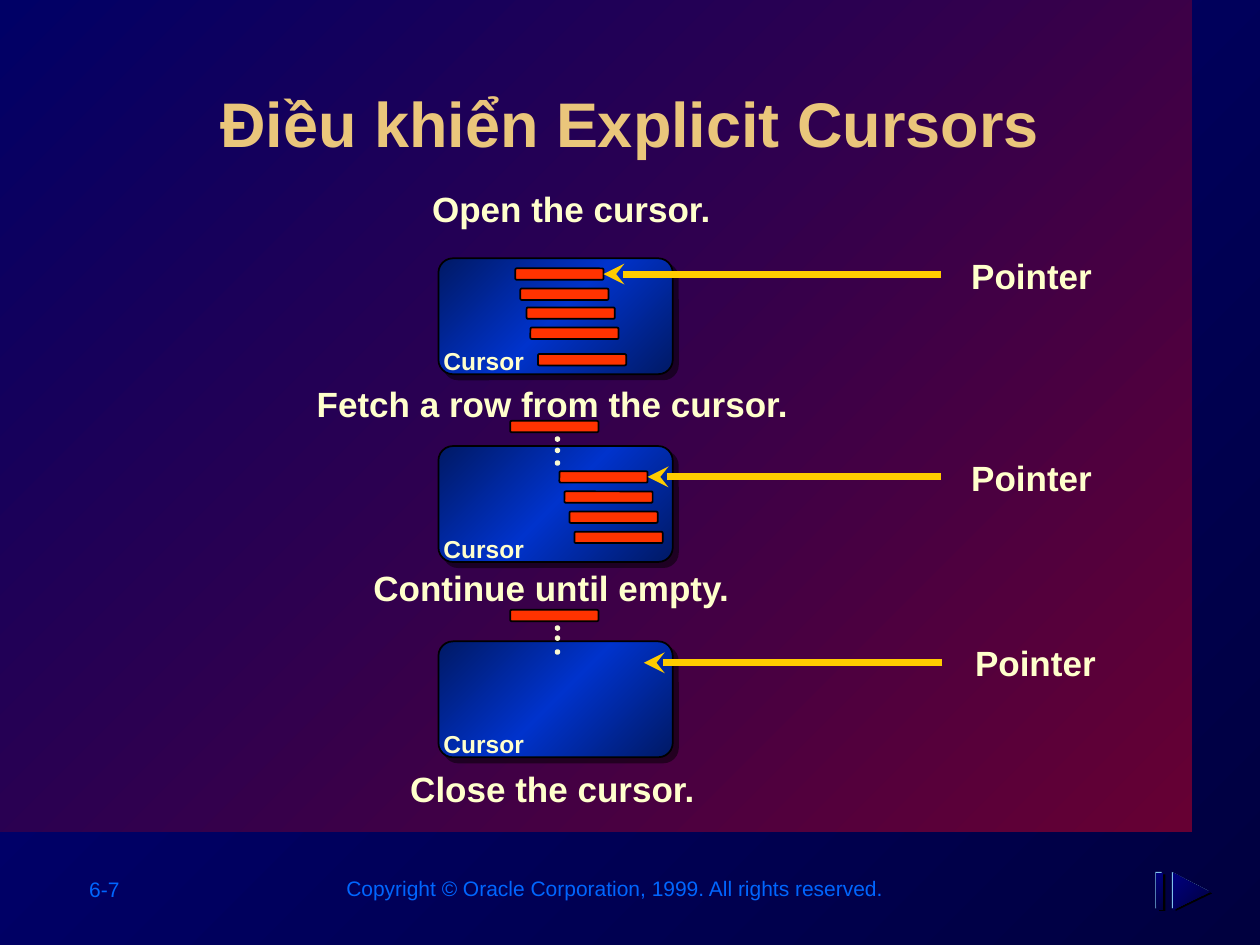
from copy import deepcopy
from typing import NamedTuple, Optional

from lxml import etree
from pptx import Presentation
from pptx import util as u
from pptx.dml.color import RGBColor
from pptx.enum import shapes, text
from pptx.oxml import ns

COLORS = {
    "night": "00003F", "navy": "000080", "wine": "660033", "ink": "000066",
    "deep": "001965", "blue": "0033CC", "red": "FF3300", "gold": "FFCC00",
    "cream": "FFFFCC", "pale": "F8F8D3", "sand": "EAC67B", "link": "0066FF",
    "sky": "7FC1EB", "black": "000000",
}
BACK = ("night", "navy")
KIND = shapes.MSO_SHAPE
BAR_W, BAR_H, DOT = 0.7, 0.09, 0.03


class Label(NamedTuple):
    words: str
    x: float
    y: float
    w: float


class Stage(NamedTuple):
    top: float
    bars: list[tuple[float, float]]
    tip: tuple[float, float]      # arrow end, used when there is no bar
    tail: float
    label: Label
    out: Optional[float] = None   # top of the fetched row
    dots: tuple[float, ...] = ()


STAGES = [
    Stage(2.05, [(4.09, 2.13), (4.13, 2.29), (4.18, 2.44), (4.21, 2.6), (4.27, 2.81)],
          (4.78, 2.18), 7.47, Label("Pointer", 7.61, 1.97, 1.4)),
    Stage(3.54, [(4.44 + 0.04 * i, 3.74 + 0.16 * i) for i in range(4)],
          (5.15, 3.79), 7.47, Label("Pointer", 7.61, 3.57, 1.4), 3.34, (3.47, 3.56, 3.66)),
    Stage(5.09, [], (5.11, 5.26), 7.48, Label("Pointer", 7.64, 5.04, 1.4),
          4.84, (4.97, 5.05, 5.16)),
]
STEPS = [
    Label("Open the cursor.", 2.96, 1.44, 3.15),
    Label("Fetch a row from the cursor.", 2.11, 2.99, 4.55),
    Label("Continue until empty.", 2.58, 4.45, 3.59),
    Label("Close the cursor.", 2.81, 6.04, 3.15),
]
FOOT = [
    Label("6-7", 0.61, 6.91, 1.11),
    Label("Copyright © Oracle Corporation, 1999. All rights reserved.", 2.65, 6.9, 4.5),
]


def rgb(name: str) -> RGBColor:
    return RGBColor.from_string(COLORS[name])


def blend(fill, names: tuple[str, ...]) -> None:
    """Diagonal gradient from lower right to upper left, evenly spaced stops."""
    fill.gradient()
    fill.gradient_angle = 135
    if len(names) == 3:
        first = fill.gradient_stops[0]._gs
        first.addnext(deepcopy(first))
    for i, (stop, name) in enumerate(zip(fill.gradient_stops, names)):
        stop.position = i / (len(names) - 1)
        stop.color.rgb = rgb(name)


def paint(shape, fill, line: Optional[str] = None) -> None:
    shape.shadow.inherit = False
    if isinstance(fill, tuple):
        blend(shape.fill, fill)
    else:
        shape.fill.solid()
        shape.fill.fore_color.rgb = rgb(fill)
    if line:
        shape.line.color.rgb = rgb(line)
        shape.line.width = u.Pt(1)
    else:
        shape.line.fill.background()


def block(slide, kind, x: float, y: float, w: float, h: float, fill, line=None):
    shape = slide.shapes.add_shape(kind, *map(u.Inches, (x, y, w, h)))
    if kind == KIND.ROUNDED_RECTANGLE:
        shape.adjustments[0] = 0.125
    paint(shape, fill, line)
    return shape


def bar(slide, x: float, y: float):
    return block(slide, KIND.ROUNDED_RECTANGLE, x, y, BAR_W, BAR_H, "red", "black")


def shade(effects, blur: float, dist: float) -> None:
    node = etree.SubElement(effects, ns.qn("a:outerShdw"), blurRad=str(u.Pt(blur)),
                            dist=str(u.Pt(dist)), dir="2700000", algn="ctr", rotWithShape="0")
    tint = etree.SubElement(node, ns.qn("a:srgbClr"), val=COLORS["black"])
    etree.SubElement(tint, ns.qn("a:alpha"), val="50000")


def style(frame, words: str, size: float, color: str, bold=True, mid=False,
          pad=(0.1, 0.05)) -> None:
    side, edge = map(u.Inches, pad)
    form = {"word_wrap": True, "auto_size": text.MSO_AUTO_SIZE.NONE,
            "vertical_anchor": text.MSO_ANCHOR.TOP, "margin_left": side,
            "margin_right": side, "margin_top": edge, "margin_bottom": edge}
    for key, value in form.items():
        setattr(frame, key, value)
    para = frame.paragraphs[0]
    para.alignment = text.PP_ALIGN.CENTER if mid else text.PP_ALIGN.LEFT
    run = para.add_run()
    run.text = words
    for key, value in {"name": "Arial", "size": u.Pt(size), "bold": bold}.items():
        setattr(run.font, key, value)
    run.font.color.rgb = rgb(color)


def write(slide, label: Label, h: float, size: float, color="cream", **form) -> None:
    box = slide.shapes.add_textbox(*map(u.Inches, (label.x, label.y, label.w, h)))
    style(box.text_frame, label.words, size, color, **form)


def arrow(slide, stage: Stage, goal) -> None:
    x, y = map(u.Inches, stage.tip)
    if goal is not None:
        y = goal.top + goal.height // 2
    link = slide.shapes.add_connector(shapes.MSO_CONNECTOR.STRAIGHT,
                                      u.Inches(stage.tail), y, x, y)
    if goal is not None:
        link.end_connect(goal, 3)
    link.line.color.rgb = rgb("gold")
    link.line.width = u.Pt(4)
    etree.SubElement(link.line._get_or_add_ln(), ns.qn("a:tailEnd"), type="stealth")
    etree.SubElement(link._element.spPr, ns.qn("a:effectLst"))


def draw(slide, stage: Stage) -> None:
    card = block(slide, KIND.ROUNDED_RECTANGLE, 3.48, stage.top, 1.86, 0.92,
                 ("deep", "blue", "deep"), "black")
    shade(card._element.spPr.find(ns.qn("a:effectLst")), 0, 4.2)
    write(slide, Label("Cursor", 3.46, stage.top + 0.67, 0.84), 0.3, 14, pad=(0.06, 0.03))
    rows = [bar(slide, x, y) for x, y in stage.bars]
    for y in stage.dots:
        block(slide, KIND.OVAL, 4.41, y, DOT, DOT, "cream", "pale")
    if stage.out is not None:
        bar(slide, 4.05, stage.out)
    write(slide, stage.label, 0.43, 20)
    arrow(slide, stage, rows[0] if rows else None)


def icon(slide) -> None:
    layers = [(0.03, 0.02, "black"), (0, 0, "sky"), (0.01, 0.01, BACK)]
    for dx, dy, fill in layers:
        block(slide, KIND.RECTANGLE, 9.17 + dx, 6.92 + dy, 0.05, 0.29, fill)
    for dx, dy, fill in layers:
        x, y = 9.3 + dx, 6.92 + dy
        path = slide.shapes.build_freeform(u.Inches(x), u.Inches(y))
        path.add_line_segments([(u.Inches(x + 0.29), u.Inches(y + 0.15)),
                                (u.Inches(x), u.Inches(y + 0.29))], close=True)
        paint(path.convert_to_shape(), fill)


def main() -> None:
    deck = Presentation()
    deck.slide_width, deck.slide_height = u.Inches(10), u.Inches(7.5)
    slide = deck.slides.add_slide(deck.slide_layouts[5])

    # Background and panel, the panel behind the title
    blend(slide.background.fill, BACK)
    panel = block(slide, KIND.RECTANGLE, 0, 0, 9.46, 6.6, ("wine", "ink"))
    slide.shapes._spTree.insert(2, panel._element)

    # Title with a text shadow
    title = slide.shapes.title
    spot = {"left": 1.01, "top": 0.56, "width": 7.98, "height": 0.96}
    for key, value in spot.items():
        setattr(title, key, u.Inches(value))
    style(title.text_frame, "Điều khiển Explicit Cursors", 36, "sand", mid=True, pad=(0.1, 0.11))
    props = title.text_frame.paragraphs[0].runs[0].font._element
    effects = etree.Element(ns.qn("a:effectLst"))
    props.find(ns.qn("a:solidFill")).addnext(effects)
    shade(effects, 0, 4.2)

    # Cursor stages and the steps between them
    for stage in STAGES:
        draw(slide, stage)
    for step in STEPS:
        write(slide, step, 0.42, 20, mid=True)

    # Footer
    for label in FOOT:
        write(slide, label, 0.3, 12, "link", bold=False)
    icon(slide)
    deck.save("out.pptx")


if __name__ == "__main__":
    main()
